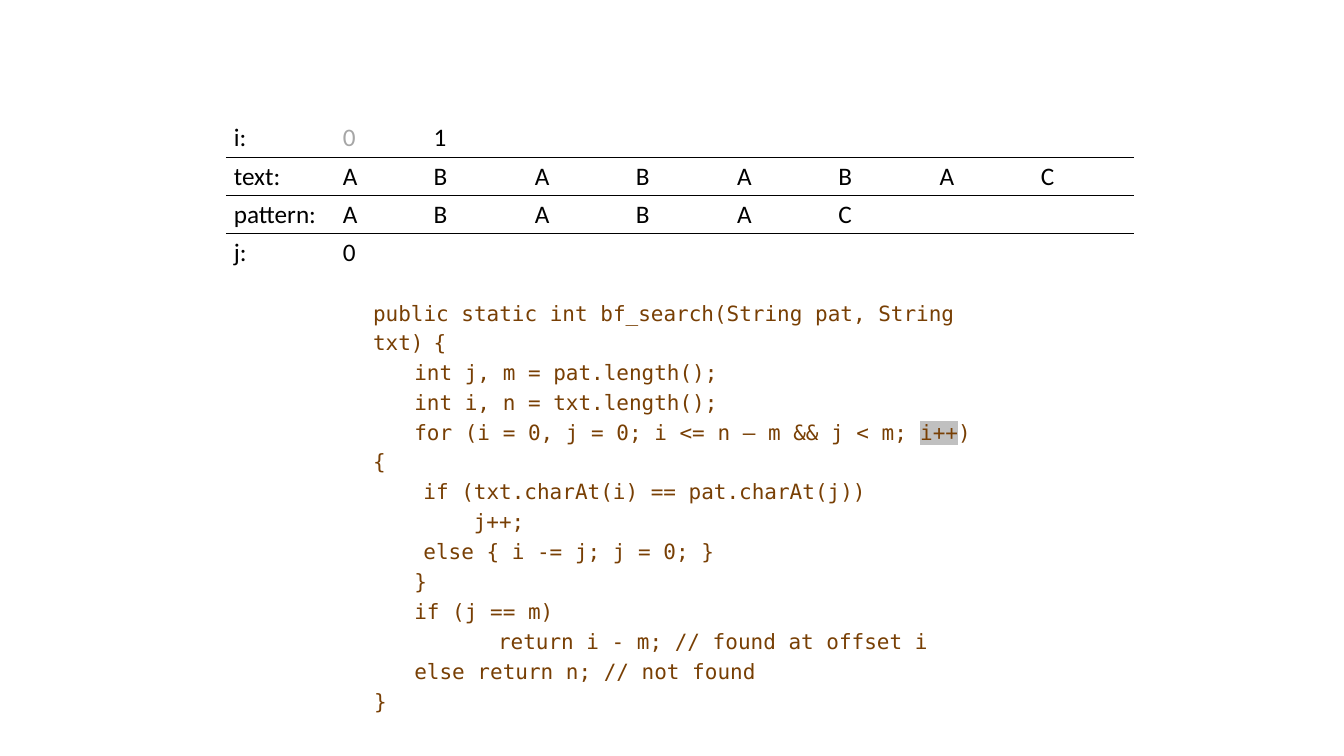
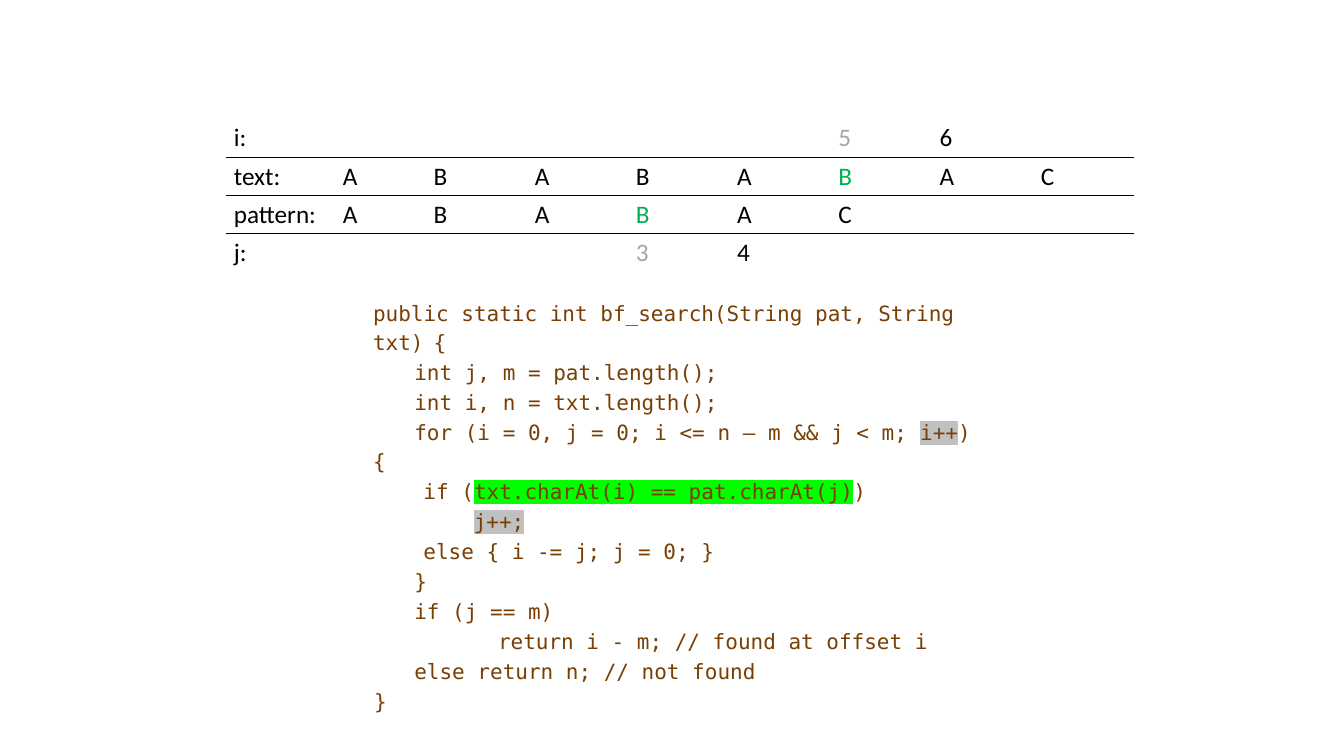
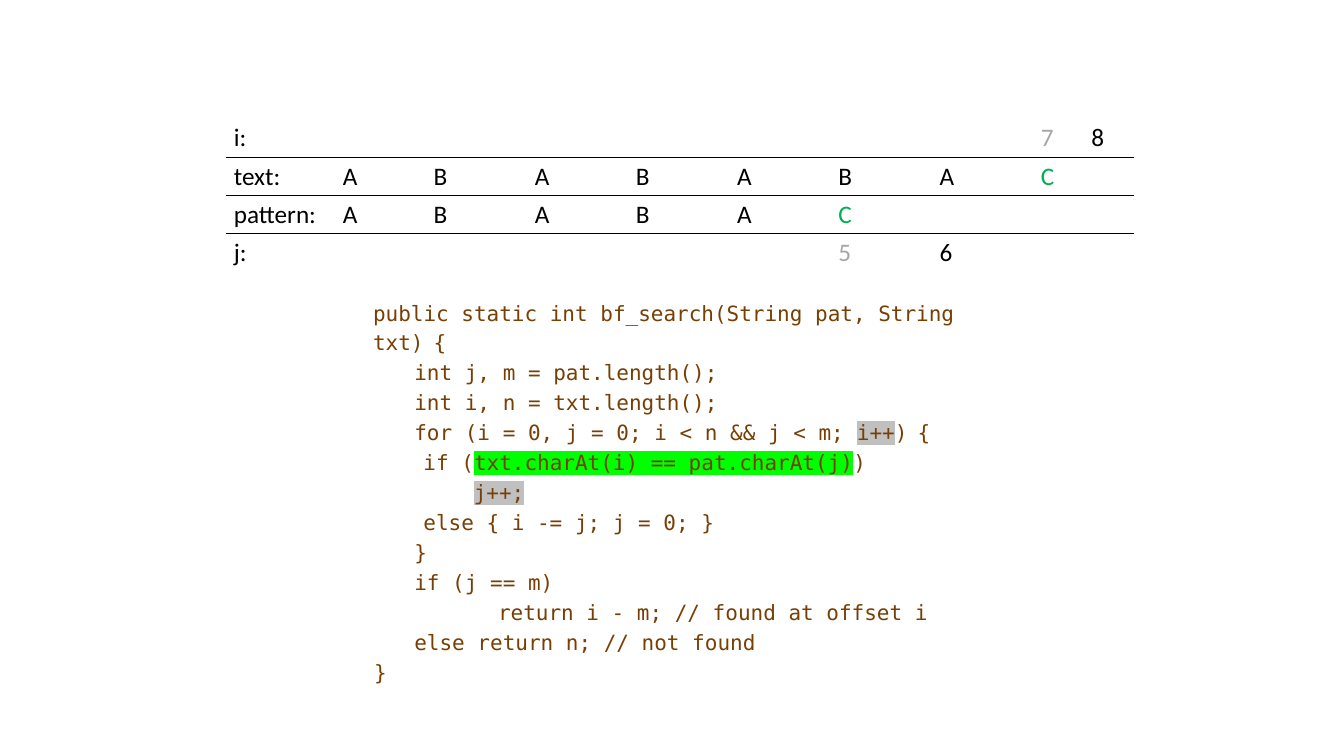
from dataclasses import dataclass
from typing import NamedTuple, Optional

import pptx
import pptx.dml.color
import pptx.oxml
import pptx.oxml.ns
import pptx.slide
import pptx.table
import pptx.text.text
import pptx.util
from pptx.util import Inches

COLORS = {
    "ink": "000000",
    "past": "A6A6A6",
    "match": "00B050",
    "code": "783F04",
    "active": "C0C0C0",
    "true": "00FF00",
}
TABLE_FONT, CODE_FONT = "Calibri", "DejaVu Sans Mono"
TEXT, PATTERN = "ABABABAC", "ABABAC"

LABEL_WIDTH, FIRST_WIDTH, TABLE_WIDTH = 1.08, 0.9, 9.01
ROW_HEIGHT = 0.38
CODE_INDENT = 0.41
TAB_STOPS = (0.75, 1.5)
NO_GRID_STYLE = "{2D5ABB26-0587-4C30-8999-92F81FD0307C}"


@dataclass(frozen=True)
class Step:
    """One pass of the search; j_before is set when the characters match."""
    i_before: int
    i_now: int
    j_before: Optional[int]
    j_now: int
    condition: str

    @property
    def matched(self) -> bool:
        return self.j_before is not None


class Piece(NamedTuple):
    text: str
    highlight: Optional[str] = None
    size: int = 15


class CodeLine(NamedTuple):
    pieces: list[Piece]
    indent: float = CODE_INDENT
    margin: float = 0


STEPS = [
    Step(0, 1, None, 0, "i <= n – m"),
    Step(5, 6, 3, 4, "i <= n – m"),
    Step(7, 8, 5, 6, "i < n"),
]


def code_lines(step: Step) -> list[CodeLine]:
    test_mark = "true" if step.matched else None
    advance_mark = "active" if step.matched else None
    opening = [Piece(" ", size=12), Piece("{")]
    return [
        CodeLine([Piece("public static int bf_search(String pat, String txt)"), *opening], 0),
        CodeLine([Piece("int j, m = pat.length();")]),
        CodeLine([Piece("int i, n = txt.length();")]),
        CodeLine([Piece(f"for (i = 0, j = 0; {step.condition} && j < m; "),
                  Piece("i++", "active"), Piece(")"), *opening]),
        CodeLine([Piece("\tif ("), Piece("txt.charAt(i) == pat.charAt(j)", test_mark), Piece(")")]),
        CodeLine([Piece("\t\t"), Piece("j++;", advance_mark)]),
        CodeLine([Piece("\telse { i -= j; j = 0; }")]),
        CodeLine([Piece("}")]),
        CodeLine([Piece("if (j == m)")]),
        CodeLine([Piece("return i - m; // found at offset i")], margin=0.83),
        CodeLine([Piece("else return n; // not found")]),
        CodeLine([Piece("}")], 0.01),
    ]


def add_run(paragraph: pptx.text.text._Paragraph, text: str, font: str, size: int,
            color: str, highlight: Optional[str] = None) -> None:
    run = paragraph.add_run()
    run.text = text
    run.font.size = pptx.util.Pt(size)
    run.font.color.rgb = pptx.dml.color.RGBColor.from_string(COLORS[color])
    if highlight:
        mark = pptx.oxml.parse_xml(
            f'<a:highlight {pptx.oxml.ns.nsdecls("a")}>'
            f'<a:srgbClr val="{COLORS[highlight]}"/></a:highlight>')
        run.font._element.find(pptx.oxml.ns.qn("a:solidFill")).addnext(mark)
    run.font.name = font


def set_indents(paragraph: pptx.text.text._Paragraph, line: CodeLine) -> None:
    properties = paragraph._p.get_or_add_pPr()
    properties.set("marL", str(Inches(line.margin)))
    properties.set("indent", str(Inches(line.indent)))
    stops = "".join(f'<a:tab pos="{Inches(stop)}" algn="l"/>' for stop in TAB_STOPS)
    properties.append(pptx.oxml.parse_xml(
        f'<a:tabLst {pptx.oxml.ns.nsdecls("a")}>{stops}</a:tabLst>'))


def add_code(slide: pptx.slide.Slide, lines: list[CodeLine]) -> None:
    box = slide.shapes.add_textbox(Inches(3.62), Inches(2.86), Inches(6.23), Inches(3.71))
    frame = box.text_frame
    frame.word_wrap = True
    frame.margin_left = frame.margin_right = Inches(0.08)
    frame.margin_top = frame.margin_bottom = Inches(0.08)
    for index, line in enumerate(lines):
        paragraph = frame.add_paragraph() if index else frame.paragraphs[0]
        set_indents(paragraph, line)
        paragraph.line_spacing = 1.15
        if index:
            paragraph.space_before = pptx.util.Pt(0.8)
        for piece in line.pieces:
            add_run(paragraph, piece.text, CODE_FONT, piece.size, "code", piece.highlight)


def set_border(cell: pptx.table._Cell, side: str) -> None:
    cell._tc.get_or_add_tcPr().append(pptx.oxml.parse_xml(
        f'<a:{side} {pptx.oxml.ns.nsdecls("a")} w="{pptx.util.Pt(1)}"><a:solidFill>'
        f'<a:srgbClr val="{COLORS["ink"]}"/></a:solidFill></a:{side}>'))


def counter_row(before: Optional[int], now: int) -> dict[int, tuple[str, str]]:
    row = {now: (str(now), "ink")}
    if before is not None:
        row[before] = (str(before), "past")
    return row


def letter_row(letters: str, match: Optional[int]) -> dict[int, tuple[str, str]]:
    return {position: (letter, "match" if position == match else "ink")
            for position, letter in enumerate(letters)}


def add_trace(slide: pptx.slide.Slide, step: Step) -> None:
    """Table of both strings with the counters above and below their positions."""
    rows = {
        "i:": counter_row(step.i_before, step.i_now),
        "text:": letter_row(TEXT, step.i_before if step.matched else None),
        "pattern:": letter_row(PATTERN, step.j_before),
        "j:": counter_row(step.j_before, step.j_now),
    }
    other_count = len(TEXT) - 1
    other_width = (TABLE_WIDTH - LABEL_WIDTH - FIRST_WIDTH) / other_count
    widths = [LABEL_WIDTH, FIRST_WIDTH] + [other_width] * other_count
    if step.i_now == len(TEXT):
        widths[-1:] = [other_width / 2] * 2

    table = slide.shapes.add_table(
        len(rows), len(widths), Inches(2.24), Inches(1.18),
        Inches(TABLE_WIDTH), Inches(ROW_HEIGHT * len(rows))).table
    table.first_row = table.horz_banding = False
    table._tbl.tblPr.find(pptx.oxml.ns.qn("a:tableStyleId")).text = NO_GRID_STYLE
    for column, width in zip(table.columns, widths):
        column.width = Inches(width)

    for row_index, (label, values) in enumerate(rows.items()):
        table.rows[row_index].height = Inches(ROW_HEIGHT)
        for column_index in range(len(widths)):
            cell = table.cell(row_index, column_index)
            cell.margin_left = cell.margin_right = Inches(0.08)
            cell.margin_top = cell.margin_bottom = Inches(0.04)
            if row_index > 0:
                set_border(cell, "lnT")
            if row_index < len(rows) - 1:
                set_border(cell, "lnB")
            cell.fill.background()
            entry = values.get(column_index - 1) if column_index else (label, "ink")
            if entry:
                text, color = entry
                add_run(cell.text_frame.paragraphs[0], text, TABLE_FONT, 18, color)


def main() -> None:
    presentation = pptx.Presentation()
    presentation.slide_width = Inches(13.33)
    presentation.slide_height = Inches(7.5)
    for step in STEPS:
        slide = presentation.slides.add_slide(presentation.slide_layouts[6])
        add_code(slide, code_lines(step))
        add_trace(slide, step)
    presentation.save("out.pptx")


if __name__ == "__main__":
    main()
